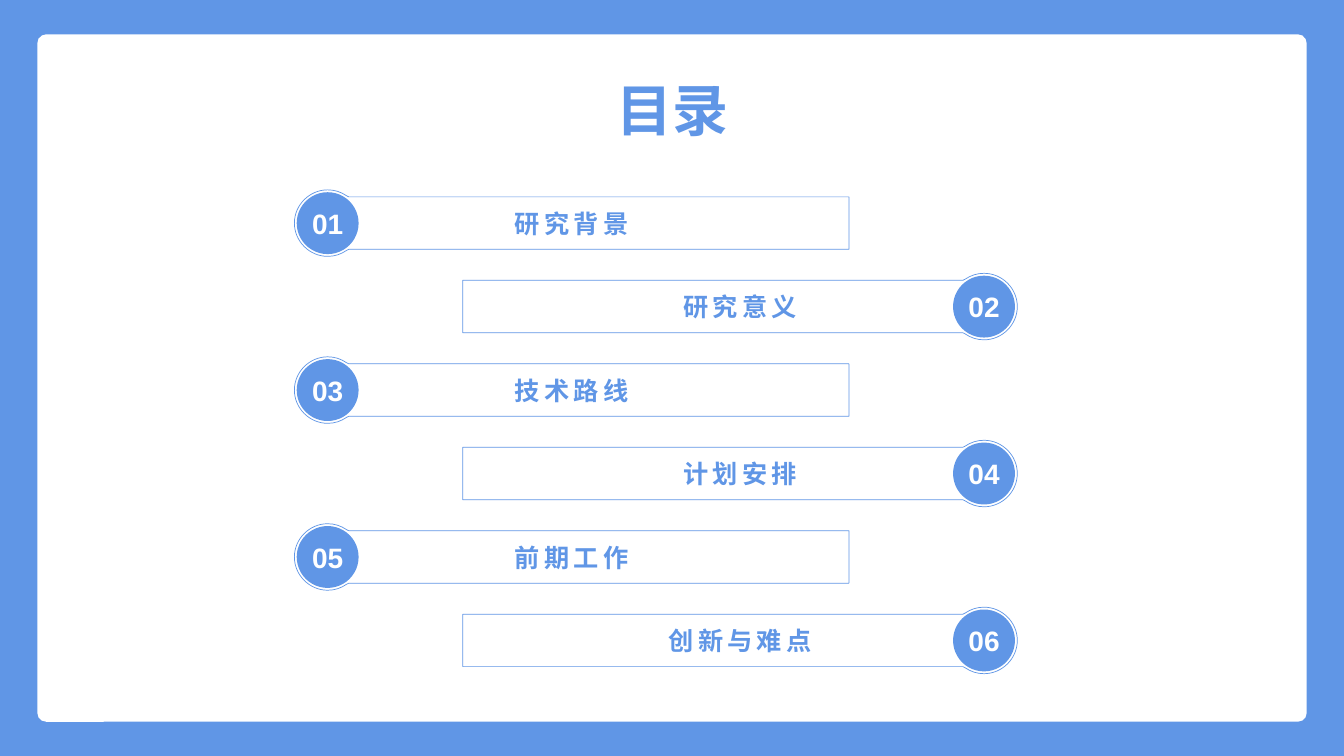
import lxml.etree
import pptx
import pptx.dml.color
import pptx.enum.shapes
import pptx.enum.text
import pptx.oxml.ns
import pptx.util

PX = 9144  # EMU, a hundredth of an inch
WIDTH, HEIGHT = 1333, 750
BLUE, WHITE = "6096E6", "FFFFFF"
HEADING_FONT, NUMBER_FONT = "Noto Sans CJK SC", "Arial"

TOPICS = ["研究背景", "研究意义", "技术路线", "计划安排", "前期工作", "创新与难点"]
THIRD_ROW, ROW_STEP = 387, 414 / 5
LEFT_KNOB, RIGHT_KNOB = 325, 976
KNOB_RADIUS = 30

# Segments around the knob centre: control points, if any, then the end point.
BAR_START = (0, -33)
BAR_SEGMENTS = [
    [(7, -33), (13, -31), (19, -27)],
    [(21, -26)],
    [(517, -26)],
    [(517, 26)],
    [(21, 26)],
    [(19, 27)],
    [(13, 31), (7, 33), (0, 33)],
    [(-18, 33), (-33, 18), (-33, 0)],
    [(-33, -18), (-18, -33), BAR_START],
]

SHAPES = pptx.enum.shapes.MSO_SHAPE
CENTER = pptx.enum.text.PP_ALIGN.CENTER
MIDDLE = pptx.enum.text.MSO_ANCHOR.MIDDLE
NO_INSETS = dict.fromkeys(
    ["margin_left", "margin_top", "margin_right", "margin_bottom"], 0
)


def emu(px):
    return pptx.util.Emu(round(px * PX))


def color(value):
    return pptx.dml.color.RGBColor.from_string(value)


def apply(target, values):
    """Set every attribute named in values on target."""
    for name, value in values.items():
        setattr(target, name, value)


def paint(shape, fill=None, line=None, line_width=1):
    shape.shadow.inherit = False
    if fill:
        shape.fill.solid()
        shape.fill.fore_color.rgb = color(fill)
    else:
        shape.fill.background()
    if line:
        shape.line.color.rgb = color(line)
        shape.line.width = pptx.util.Pt(line_width)
    else:
        shape.line.fill.background()


def write(shape, text, size, font_name, text_color, frame, spacing=0):
    """Put one centred bold line in shape; spacing is in points."""
    apply(shape.text_frame, frame)
    paragraph = shape.text_frame.paragraphs[0]
    paragraph.alignment = CENTER
    run = paragraph.add_run()
    run.text = text
    apply(run.font, {"size": pptx.util.Pt(size), "bold": True, "name": font_name})
    run.font.color.rgb = color(text_color)
    properties = run._r.get_or_add_rPr()
    if spacing:
        properties.set("spc", str(spacing * 100))
    east_asian = pptx.oxml.parse_xml(
        f'<a:ea {pptx.oxml.ns.nsdecls("a")} typeface="{font_name}"/>'
    )
    properties.find(pptx.oxml.ns.qn("a:latin")).addnext(east_asian)


def add_block(slide, kind, box, **style):
    shape = slide.shapes.add_shape(kind, *map(emu, box))
    paint(shape, **style)
    return shape


def add_label(slide, box, *text_style):
    write(slide.shapes.add_textbox(*map(emu, box)), *text_style)


def bend(freeform, segments):
    """Turn each line that has control points into a cubic curve."""
    lines = list(freeform._element.iter(pptx.oxml.ns.qn("a:lnTo")))
    for line, (*controls, _) in zip(lines, segments):
        if not controls:
            continue
        curve = lxml.etree.Element(pptx.oxml.ns.qn("a:cubicBezTo"))
        for x, y in controls:
            point = lxml.etree.SubElement(curve, pptx.oxml.ns.qn("a:pt"))
            point.set("x", str(x - freeform.left))
            point.set("y", str(y - freeform.top))
        curve.append(line[0])
        line.getparent().replace(line, curve)


def add_bar(slide, knob_x, y, direction, topic):
    """Outline a bar that leaves a ring towards direction (1 right, -1 left)."""
    def place(point):
        return emu(knob_x + direction * point[0]), emu(y + point[1])

    segments = [[place(point) for point in segment] for segment in BAR_SEGMENTS]
    builder = slide.shapes.build_freeform(*place(BAR_START))
    builder.add_line_segments([segment[-1] for segment in segments], close=True)
    bar = builder.convert_to_shape()
    bend(bar, segments)
    paint(bar, line=BLUE, line_width=0.5)
    frame = {"vertical_anchor": MIDDLE, "word_wrap": True}
    write(bar, topic, 18, HEADING_FONT, BLUE, frame, 3)


def add_knob(slide, x, y, number):
    box = (x - KNOB_RADIUS, y - KNOB_RADIUS, 2 * KNOB_RADIUS, 2 * KNOB_RADIUS)
    add_block(slide, SHAPES.OVAL, box, fill=BLUE, line=BLUE)
    frame = {"vertical_anchor": MIDDLE, "word_wrap": True, **NO_INSETS}
    add_label(slide, (x - 27, y - 20, 54, 40),
              f"{number:02}", 20, NUMBER_FONT, WHITE, frame)


def main():
    presentation = pptx.Presentation()
    apply(presentation, {"slide_width": emu(WIDTH), "slide_height": emu(HEIGHT)})
    slide = presentation.slides.add_slide(presentation.slide_layouts[6])

    add_block(slide, SHAPES.RECTANGLE, (0, 0, WIDTH, HEIGHT), fill=BLUE)
    panel = add_block(slide, SHAPES.ROUNDED_RECTANGLE, (37, 34, 1259, 682), fill=WHITE)
    panel.adjustments[0] = 0.013

    title_frame = {
        "word_wrap": False,
        "auto_size": pptx.enum.text.MSO_AUTO_SIZE.SHAPE_TO_FIT_TEXT,
        **NO_INSETS,
    }
    add_label(slide, (611, 75, 112, 67), "目录", 40, HEADING_FONT, BLUE, title_frame)

    for index, topic in enumerate(TOPICS):
        y = THIRD_ROW + (index - 2) * ROW_STEP
        knob_x, direction = [(LEFT_KNOB, 1), (RIGHT_KNOB, -1)][index % 2]
        add_bar(slide, knob_x, y, direction, topic)
        add_knob(slide, knob_x, y, index + 1)

    presentation.save("out.pptx")


if __name__ == "__main__":
    main()
